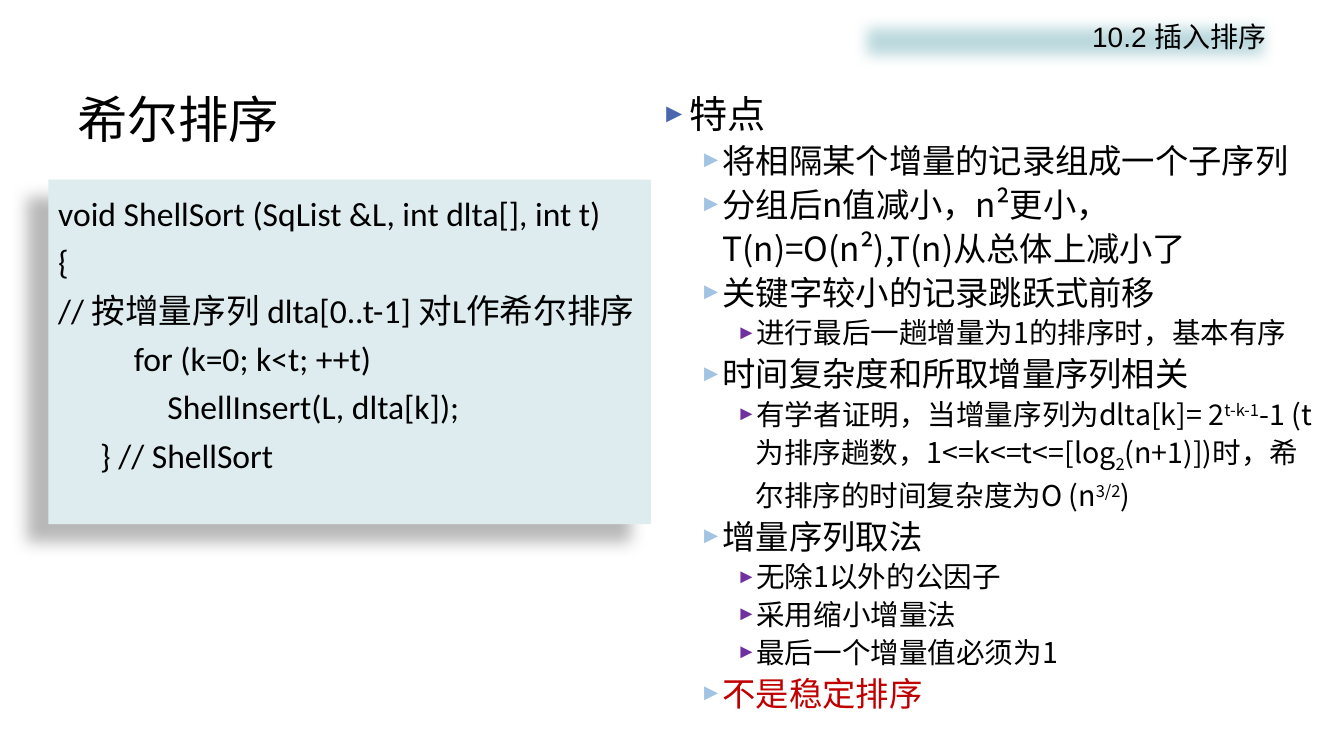
from lxml import etree
from pptx import Presentation
from pptx.dml.color import RGBColor
from pptx.enum.shapes import MSO_SHAPE
from pptx.enum.text import MSO_ANCHOR, MSO_AUTO_SIZE, PP_ALIGN
from pptx.oxml.ns import qn
from pptx.util import Pt

COLORS = {
    "text": "000000",
    "warning": "C00000",
    "header": "BDDADF",
    "code": "DEECEF",
    "shadow": "000000",
}
CJK_FONT = "Noto Sans CJK SC"

# Per outline level: text size, left margin, hanging indent, bullet colour
LEVELS = [
    (27.2, 20, 20, "4A66AC"),
    (23.8, 44, 16.5, "A1C4E3"),
    (20.4, 67.5, 13.5, "7030A0"),
]

# Each point is a level and its runs; a run is a text and its baseline shift
POINTS = [
    (0, [("特点", 0)]),
    (1, [("将相隔某个增量的记录组成一个子序列", 0)]),
    (1, [("分组后n值减小，n²更小，T(n)=O(n²),T(n)从总体上减小了", 0)]),
    (1, [("关键字较小的记录跳跃式前移", 0)]),
    (2, [("进行最后一趟增量为1的排序时，基本有序", 0)]),
    (1, [("时间复杂度和所取增量序列相关", 0)]),
    (2, [("有学者证明，当增量序列为dlta[k]= 2", 0), ("t-k-1", 30),
         ("-1 (t为排序趟数，1<=k<=t<=[log", 0), ("2", -25),
         ("(n+1)])时，希尔排序的时间复杂度为O (n", 0), ("3/2", 30), (")", 0)]),
    (1, [("增量序列取法", 0)]),
    (2, [("无除1以外的公因子", 0)]),
    (2, [("采用缩小增量法", 0)]),
    (2, [("最后一个增量值必须为1", 0)]),
    (1, [("不是稳定排序", 0)]),
]

# Each code line is its indent and its text
CODE = [
    (0, "void ShellSort (SqList &L, int dlta[], int t)"),
    (0, "{"),
    (0, "// 按增量序列 dlta[0..t-1] 对L作希尔排序"),
    (54, "for (k=0; k<t; ++t)"),
    (78, "ShellInsert(L, dlta[k]);"),
    (30, "} // ShellSort"),
]


def rgb(name):
    return RGBColor.from_string(COLORS[name])


def place(shape, box):
    shape.left, shape.top, shape.width, shape.height = (Pt(length) for length in box)


def format_run(run, size, font=CJK_FONT, color="text"):
    run.font.size = Pt(size)
    run.font.name = font
    run.font.color.rgb = rgb(color)
    properties = run._r.get_or_add_rPr()
    etree.SubElement(properties, qn("a:ea"), typeface=CJK_FONT)


def set_indent(paragraph, margin, hanging=0):
    properties = paragraph._p.get_or_add_pPr()
    properties.set("marL", str(Pt(margin)))
    properties.set("indent", str(-Pt(hanging)))
    return properties


def set_bullet(properties, color):
    bullet_color = etree.SubElement(properties, qn("a:buClr"))
    etree.SubElement(bullet_color, qn("a:srgbClr"), val=color)
    etree.SubElement(properties, qn("a:buSzPct"), val="70000")
    etree.SubElement(properties, qn("a:buFont"), typeface="Arial")
    etree.SubElement(properties, qn("a:buChar"), char="►")


def add_effect(shape, tag, **attributes):
    effects = etree.SubElement(shape._element.spPr, qn("a:effectLst"))
    return etree.SubElement(effects, qn(tag), **attributes)


def fill_title(title, box):
    place(title, box)
    frame = title.text_frame
    frame.text = "希尔排序"
    frame.vertical_anchor = MSO_ANCHOR.MIDDLE
    frame.auto_size = MSO_AUTO_SIZE.NONE
    paragraph = frame.paragraphs[0]
    paragraph.alignment = PP_ALIGN.LEFT
    format_run(paragraph.runs[0], 36)


def fill_header(header, box):
    """Section name on a bar with soft edges."""
    place(header, box)
    header.fill.solid()
    header.fill.fore_color.rgb = rgb("header")
    add_effect(header, "a:softEdge", rad=str(Pt(10)))
    frame = header.text_frame
    frame.text = "10.2 插入排序"
    frame.auto_size = MSO_AUTO_SIZE.NONE
    paragraph = frame.paragraphs[0]
    paragraph.alignment = PP_ALIGN.RIGHT
    paragraph.space_before = Pt(0)
    properties = set_indent(paragraph, 0)
    etree.SubElement(properties, qn("a:buNone"))
    format_run(paragraph.runs[0], 20, "Arial")


def fill_points(body, box):
    place(body, box)
    frame = body.text_frame
    frame.auto_size = MSO_AUTO_SIZE.NONE
    frame.text = "\n".join("" for point in POINTS)
    for paragraph, (level, runs) in zip(frame.paragraphs, POINTS):
        size, margin, hanging, bullet_color = LEVELS[level]
        paragraph.level = level
        paragraph.line_spacing = 1.1
        paragraph.space_before = Pt(0)
        set_bullet(set_indent(paragraph, margin, hanging), bullet_color)
        for text, baseline in runs:
            run = paragraph.add_run()
            run.text = text
            format_run(run, size)
            if baseline:
                run.font._element.set("baseline", str(baseline * 1000))
    frame.paragraphs[-1].runs[0].font.color.rgb = rgb("warning")


def add_code(slide, box):
    panel = slide.shapes.add_shape(MSO_SHAPE.RECTANGLE, *(Pt(length) for length in box))
    panel.fill.solid()
    panel.fill.fore_color.rgb = rgb("code")
    panel.line.fill.background()
    shadow = add_effect(panel, "a:outerShdw", blurRad=str(Pt(11.8)), dist=str(Pt(19.7)),
                        dir=str(141 * 60000), algn="ctr", rotWithShape="0")
    shadow_color = etree.SubElement(shadow, qn("a:srgbClr"), val=COLORS["shadow"])
    etree.SubElement(shadow_color, qn("a:alpha"), val="28000")
    frame = panel.text_frame
    frame.word_wrap = True
    frame.vertical_anchor = MSO_ANCHOR.TOP
    frame.text = "\n".join(text for indent, text in CODE)
    for paragraph, (indent, text) in zip(frame.paragraphs, CODE):
        paragraph.alignment = PP_ALIGN.LEFT
        paragraph.line_spacing = 1.2
        set_indent(paragraph, indent)
        format_run(paragraph.runs[0], 24, "Calibri")


def main():
    presentation = Presentation()
    presentation.slide_width, presentation.slide_height = Pt(960), Pt(540)
    two_content = presentation.slide_layouts[3]
    slide = presentation.slides.add_slide(two_content)
    title, body, header = slide.placeholders
    fill_title(title, (48, 57.6, 864, 54))
    fill_points(body, (465, 57.6, 483, 461.5))
    fill_header(header, (609.5, 10.3, 302.5, 39))
    add_code(slide, (34.5, 128.4, 430.5, 246))
    presentation.save("out.pptx")


if __name__ == "__main__":
    main()
